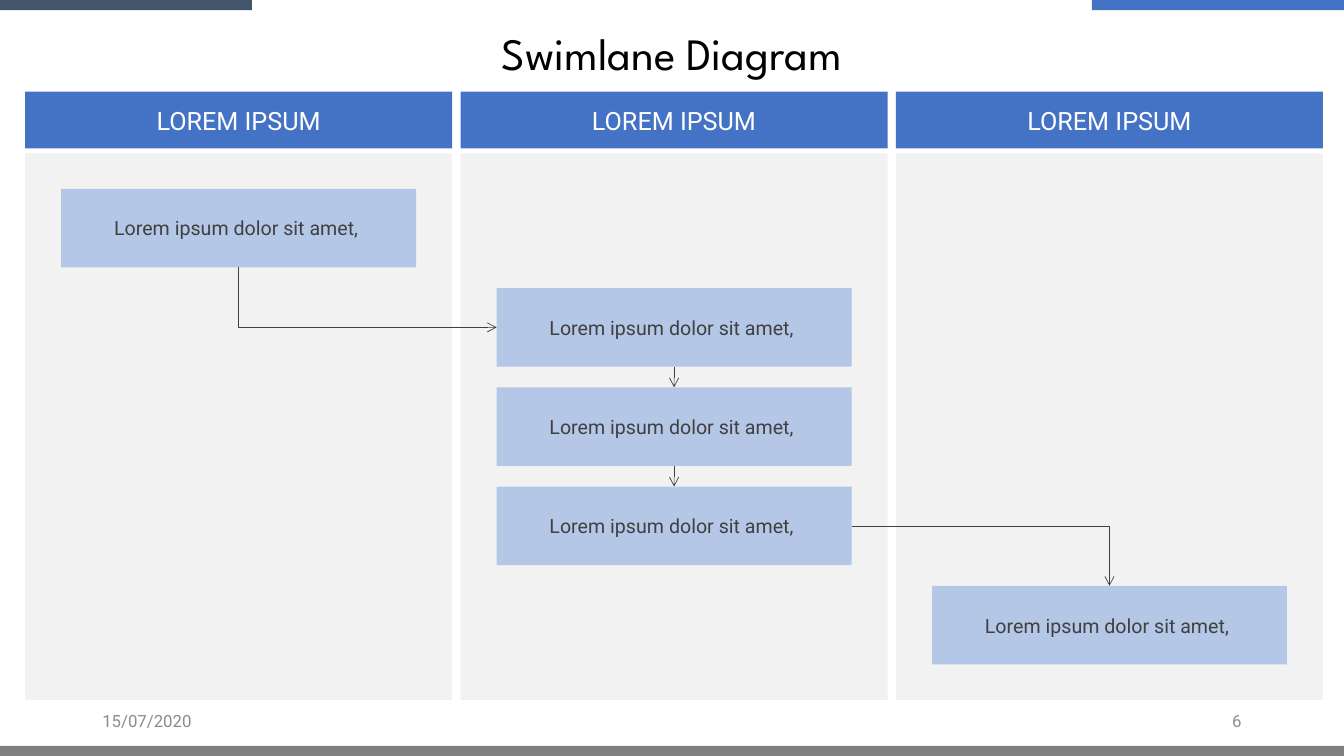
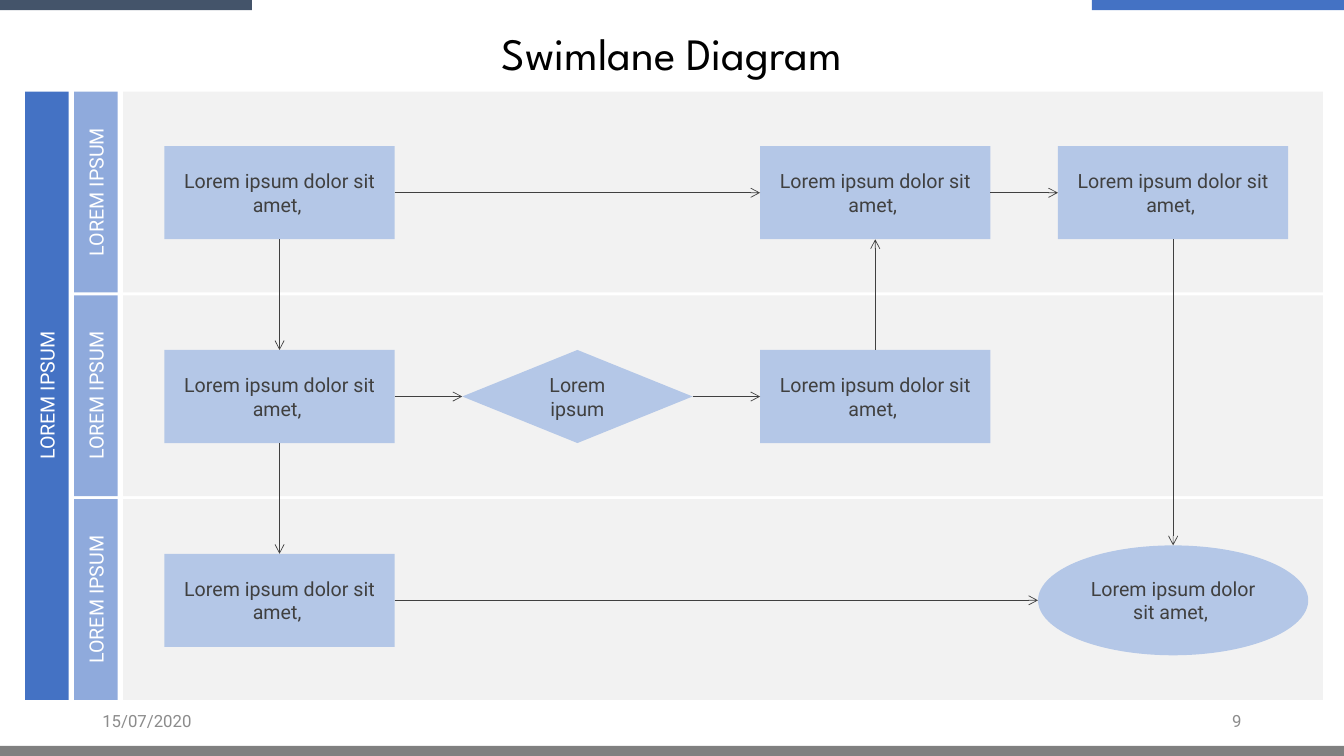
from collections import namedtuple

from lxml import etree
from pptx import Presentation
from pptx.dml.color import RGBColor
from pptx.enum.shapes import MSO_CONNECTOR, MSO_SHAPE
from pptx.enum.text import MSO_ANCHOR, MSO_AUTO_SIZE, PP_ALIGN
from pptx.oxml.ns import qn
from pptx.util import Pt

BLUE = RGBColor(0x44, 0x72, 0xC4)
MID_BLUE = RGBColor(0x8F, 0xAA, 0xDC)
PALE_BLUE = RGBColor(0xB4, 0xC7, 0xE7)
SLATE = RGBColor(0x44, 0x54, 0x6A)
GREY = RGBColor(0x80, 0x80, 0x80)
FOOTER_GREY = RGBColor(0x8C, 0x8C, 0x8C)
LANE_GREY = RGBColor(0xF2, 0xF2, 0xF2)
DARK = RGBColor(0x40, 0x40, 0x40)
WHITE = RGBColor(0xFF, 0xFF, 0xFF)
BLACK = RGBColor(0, 0, 0)

TITLE_FONT, BODY_FONT = "League Spartan", "Roboto"
LANE_LABEL = "LOREM IPSUM"
STEP_TEXT = "Lorem ipsum dolor sit amet, "
DATE = "15/07/2020"

Box = namedtuple("Box", "left top width height")
SLIDE = Box(0, 0, 960, 540)
DIAGRAM = Box(18, 65.5, 927, 434.5)
BAND_HEIGHT = 7.2

# Connection sites of a rectangle or diamond, counted from the top
TOP, LEFT, BOTTOM, RIGHT = range(4)


def pts(box):
    return [Pt(v) for v in box]


def centred(cx, cy, width, height):
    return Box(cx - width / 2, cy - height / 2, width, height)


def write(tf, text, size, color, align=PP_ALIGN.CENTER, font=BODY_FONT):
    tf.word_wrap = True
    p = tf.paragraphs[0]
    p.alignment = align
    r = p.add_run()
    r.text = text
    for name, value in {"size": Pt(size), "name": font, "bold": False}.items():
        setattr(r.font, name, value)
    r.font.color.rgb = color


def add_block(s, box, fill, text="", size=14, color=DARK,
              kind=MSO_SHAPE.RECTANGLE, vertical=False):
    sp = s.shapes.add_shape(kind, *pts(box))
    sp.shadow.inherit = False
    sp.fill.solid()
    sp.fill.fore_color.rgb = fill
    sp.line.fill.background()
    if text:
        sp.text_frame.vertical_anchor = MSO_ANCHOR.MIDDLE
        write(sp.text_frame, text, size, color)
    if vertical:
        sp.element.txBody.bodyPr.set("vert", "vert270")
    return sp


def add_step(s, box, text=STEP_TEXT, kind=MSO_SHAPE.RECTANGLE):
    return add_block(s, box, PALE_BLUE, text, kind=kind)


def side_point(sp, side):
    return {
        TOP: (sp.left + sp.width // 2, sp.top),
        LEFT: (sp.left, sp.top + sp.height // 2),
        BOTTOM: (sp.left + sp.width // 2, sp.top + sp.height),
        RIGHT: (sp.left + sp.width, sp.top + sp.height // 2),
    }[side]


def add_arrow(s, start, start_side, end, end_side):
    """Join two steps; sides at right angles give one bend."""
    bent = start_side % 2 != end_side % 2
    kind = MSO_CONNECTOR.ELBOW if bent else MSO_CONNECTOR.STRAIGHT
    begin_point = side_point(start, start_side)
    end_point = side_point(end, end_side)
    line = s.shapes.add_connector(kind, *begin_point, *end_point)
    # An ellipse has eight sites, so its sides are every second one
    step = 2 if end.auto_shape_type == MSO_SHAPE.OVAL else 1
    line.begin_connect(start, start_side)
    line.end_connect(end, end_side * step)
    line.end_x, line.end_y = end_point
    line.line.width = Pt(0.5)
    line.line.color.rgb = DARK
    sp_pr = line.element.spPr
    etree.SubElement(sp_pr.find(qn("a:ln")), qn("a:tailEnd"), type="arrow")
    etree.SubElement(sp_pr, qn("a:effectLst"))
    if bent:
        sp_pr.find(qn("a:prstGeom")).set("prst", "bentConnector2")
        if start_side == BOTTOM:
            turn_down_first(line)


def turn_down_first(line):
    """Turn a right-then-down bend into down-then-right in the same place."""
    width, height = line.width, line.height
    line.left += (width - height) // 2
    line.top += (height - width) // 2
    line.width, line.height = height, width
    xfrm = line.element.spPr.find(qn("a:xfrm"))
    xfrm.set("rot", "16200000")
    xfrm.set("flipH", "1")


def add_base_slide(prs, number):
    """Add a slide with the shared title, footer and bands."""
    s = prs.slides.add_slide(prs.slide_layouts[5])
    title = s.shapes.title
    title.left, title.top, title.width, title.height = pts(Box(66, 19.5, 828, 40.3))
    tf = title.text_frame
    frame_format = {"vertical_anchor": MSO_ANCHOR.TOP,
                    "auto_size": MSO_AUTO_SIZE.SHAPE_TO_FIT_TEXT}
    for edge in ("left", "top", "right", "bottom"):
        frame_format["margin_" + edge] = Pt(2.9)
    for name, value in frame_format.items():
        setattr(tf, name, value)
    write(tf, "Swimlane Diagram", 32, BLACK, font=TITLE_FONT)
    tf.paragraphs[0].line_spacing = 0.9

    for left, text, align in ((66, DATE, PP_ALIGN.LEFT),
                              (678, str(number), PP_ALIGN.RIGHT)):
        footer = s.shapes.add_textbox(*pts(Box(left, 500.5, 216, 28.75)))
        footer.text_frame.vertical_anchor = MSO_ANCHOR.MIDDLE
        write(footer.text_frame, text, 12, FOOTER_GREY, align)

    for left, top, width, fill in (
            (SLIDE.width - 180, 0, 180, BLUE),
            (0, 0, 180, SLATE),
            (0, SLIDE.height - BAND_HEIGHT, SLIDE.width, GREY)):
        add_block(s, Box(left, top, width, BAND_HEIGHT), fill)
    return s


def add_column_lanes(s, area):
    gap, header_height, header_gap = 6, 40.5, 3.5
    width = (area.width - 2 * gap) / 3
    body_top = area.top + header_height + header_gap
    body_height = area.top + area.height - body_top
    lefts = [area.left + i * (width + gap) for i in range(3)]
    for left in lefts:
        add_block(s, Box(left, area.top, width, header_height), BLUE,
                  LANE_LABEL, 18, WHITE)
        add_block(s, Box(left, body_top, width, body_height), LANE_GREY)

    step_width, step_height, pitch = 253.5, 56.2, 70.9
    first_cy = body_top + body_height / 2 - 2 * pitch
    steps = [add_step(s, centred(lefts[lane] + width / 2, first_cy + row * pitch,
                                 step_width, step_height))
             for row, lane in enumerate((0, 1, 1, 1, 2))]
    sides = ((BOTTOM, LEFT), (BOTTOM, TOP), (BOTTOM, TOP), (RIGHT, TOP))
    for start, end, (out_side, in_side) in zip(steps, steps[1:], sides):
        add_arrow(s, start, out_side, end, in_side)


def add_row_lanes(s, area):
    label_width, label_pitch, gap = 31, 35, 2.2
    height = (area.height - 2 * gap) / 3
    label_left = area.left + label_pitch
    body_left = label_left + label_pitch
    body_width = area.left + area.width - body_left
    tops = [area.top + i * (height + gap) for i in range(3)]
    add_block(s, Box(area.left, area.top, label_width, area.height), BLUE,
              LANE_LABEL, 14, WHITE, vertical=True)
    for top in tops:
        add_block(s, Box(label_left, top, label_width, height), MID_BLUE,
                  LANE_LABEL, 14, WHITE, vertical=True)
        add_block(s, Box(body_left, top, body_width, height), LANE_GREY)

    def place(row, col, width=164.5, height_=66.5, **style):
        cx = body_left + 111.7 + col * 212.75
        cy = tops[row] + height / 2 + 0.5
        return add_step(s, centred(cx, cy, width, height_), **style)

    request, check, record = [place(row, 0) for row in range(3)]
    decision = place(1, 1, text="Lorem ipsum", kind=MSO_SHAPE.FLOWCHART_DECISION)
    action, review = place(1, 2), place(0, 2)
    approval = place(0, 3)
    finish = place(2, 3, 193, 78.5, kind=MSO_SHAPE.OVAL)
    for arrow in (
            (request, RIGHT, review, LEFT),
            (request, BOTTOM, check, TOP),
            (check, BOTTOM, record, TOP),
            (record, RIGHT, finish, LEFT),
            (check, RIGHT, decision, LEFT),
            (decision, RIGHT, action, LEFT),
            (action, TOP, review, BOTTOM),
            (approval, BOTTOM, finish, TOP),
            (review, RIGHT, approval, LEFT)):
        add_arrow(s, *arrow)


def main():
    prs = Presentation()
    prs.slide_width, prs.slide_height = Pt(SLIDE.width), Pt(SLIDE.height)
    add_column_lanes(add_base_slide(prs, 6), DIAGRAM)
    add_row_lanes(add_base_slide(prs, 9), DIAGRAM)
    prs.save("out.pptx")


if __name__ == "__main__":
    main()
